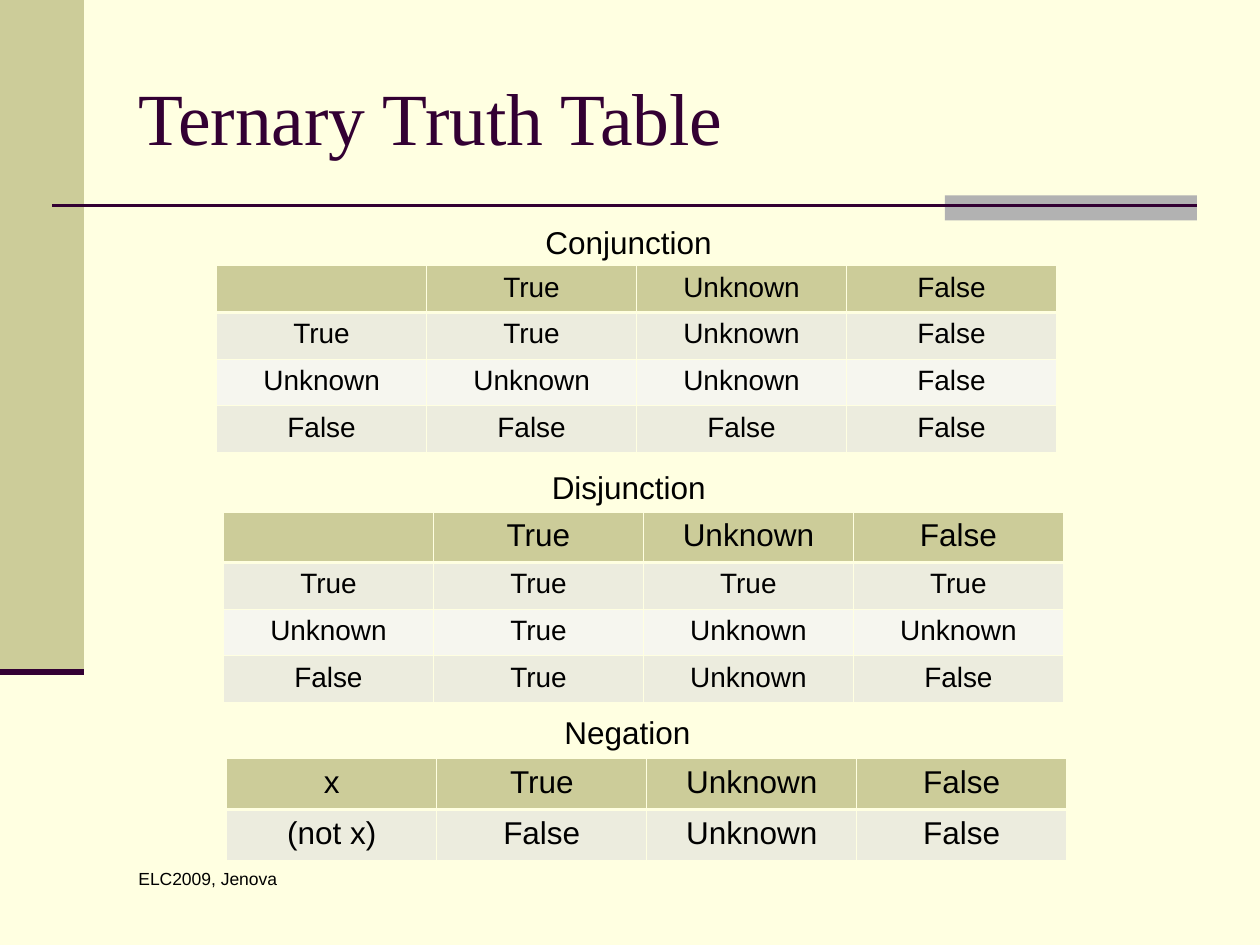
from lxml import etree
from pptx import Presentation
from pptx.dml.color import RGBColor
from pptx.enum.shapes import MSO_CONNECTOR, MSO_SHAPE
from pptx.enum.text import MSO_ANCHOR, MSO_AUTO_SIZE, PP_ALIGN
from pptx.oxml.ns import qn
from pptx.util import Pt

RECTANGLE = MSO_SHAPE.RECTANGLE
STRAIGHT = MSO_CONNECTOR.STRAIGHT
MIDDLE = MSO_ANCHOR.MIDDLE
FIT_SHAPE = MSO_AUTO_SIZE.SHAPE_TO_FIT_TEXT
CENTER = PP_ALIGN.CENTER

COLORS = {
    "page": "FFFFE1",
    "olive": "CCCC99",
    "gray": "B2B2B2",
    "plum": "330033",
    "text": "000000",
    "odd": "ECECDE",
    "even": "F6F6EF",
}


def add_span(para, text, size, font="Arial", color="text"):
    span = para.add_run()
    span.text = text
    span.font.size = Pt(size)
    span.font.name = font
    span.font.color.rgb = RGBColor.from_string(COLORS[color])


def add_border(cell, side, width):
    line = etree.SubElement(cell._tc.get_or_add_tcPr(), qn(f"a:ln{side}"), w=str(Pt(width)))
    fill = etree.SubElement(line, qn("a:solidFill"))
    etree.SubElement(fill, qn("a:srgbClr"), val=COLORS["page"])


deck = Presentation()
deck.slide_width = Pt(720)
deck.slide_height = Pt(540)
page = deck.slides.add_slide(deck.slide_layouts[6])
page.background.fill.solid()
page.background.fill.fore_color.rgb = RGBColor.from_string(COLORS["page"])

for left, top, width, height, color in [(0, 0, 48, 384, "olive"), (540, 111.6, 144, 14.4, "gray")]:
    block = page.shapes.add_shape(RECTANGLE, Pt(left), Pt(top), Pt(width), Pt(height))
    block.shadow.inherit = False
    block.fill.solid()
    block.fill.fore_color.rgb = RGBColor.from_string(COLORS[color])
    block.line.fill.background()

for start, end, y, width in [(30, 684, 117.6, 1.5), (0, 48, 384, 3.5)]:
    rule = page.shapes.add_connector(STRAIGHT, Pt(start), Pt(y), Pt(end), Pt(y))
    rule.line.color.rgb = RGBColor.from_string(COLORS["plum"])
    rule.line.width = Pt(width)
    etree.SubElement(rule._element.spPr, qn("a:effectLst"))

title = page.shapes.add_textbox(Pt(72), Pt(21.6), Pt(612), Pt(90))
title.text_frame.word_wrap = True
title.text_frame.vertical_anchor = MIDDLE
add_span(title.text_frame.paragraphs[0], "Ternary Truth Table", 42, "Times New Roman", "plum")

footer = page.shapes.add_textbox(Pt(72), Pt(492.5), Pt(156), Pt(36))
footer.text_frame.word_wrap = True
add_span(footer.text_frame.paragraphs[0], "ELC2009, Jenova", 10)

TRUTH_TABLES = [
    {
        "caption": "Conjunction", "caption_at": (304.6, 123.8, 109.4),
        "at": (123.8, 151.9), "heights": [26.64] * 4, "sizes": [16] * 4,
        "rows": [
            ["", "True", "Unknown", "False"],
            ["True", "True", "Unknown", "False"],
            ["Unknown", "Unknown", "Unknown", "False"],
            ["False", "False", "False", "False"],
        ],
    },
    {
        "caption": "Disjunction", "caption_at": (308.2, 264.2, 102.2),
        "at": (127.7, 292.6), "heights": [28.8] + [26.64] * 3, "sizes": [18, 16, 16, 16],
        "rows": [
            ["", "True", "Unknown", "False"],
            ["True", "True", "True", "True"],
            ["Unknown", "True", "Unknown", "Unknown"],
            ["False", "True", "Unknown", "False"],
        ],
    },
    {
        "caption": "Negation", "caption_at": (315.4, 403.9, 86.4),
        "at": (129.6, 433.4), "heights": [29.2, 28.8], "sizes": [18, 18],
        "rows": [
            ["x", "True", "Unknown", "False"],
            ["(not x)", "False", "Unknown", "False"],
        ],
    },
]

for truth in TRUTH_TABLES:
    left, top, width = truth["caption_at"]
    caption = page.shapes.add_textbox(Pt(left), Pt(top), Pt(width), Pt(28.8))
    caption.text_frame.word_wrap = False
    caption.text_frame.auto_size = FIT_SHAPE
    add_span(caption.text_frame.paragraphs[0], truth["caption"], 18)

    rows = truth["rows"]
    left, top = truth["at"]
    frame = page.shapes.add_table(
        len(rows), 4, Pt(left), Pt(top), Pt(480), Pt(sum(truth["heights"]))
    )
    table = frame.table
    for column in table.columns:
        column.width = Pt(120)
    for row_index, row in enumerate(rows):
        table.rows[row_index].height = Pt(truth["heights"][row_index])
        size = truth["sizes"][row_index]
        shade = "olive" if row_index == 0 else ("odd" if row_index % 2 else "even")
        for column_index, text in enumerate(row):
            cell = table.cell(row_index, column_index)
            add_border(cell, "L", 0.45)
            add_border(cell, "R", 0.45)
            add_border(cell, "T", 1.47 if row_index == 1 else 0.45)
            add_border(cell, "B", 1.47 if row_index == 0 else 0.45)
            cell.fill.solid()
            cell.fill.fore_color.rgb = RGBColor.from_string(COLORS[shade])
            para = cell.text_frame.paragraphs[0]
            para.alignment = CENTER
            if text:
                add_span(para, text, size)
            else:
                etree.SubElement(para._p, qn("a:endParaRPr"), sz=str(size * 100))

deck.save("out.pptx")
